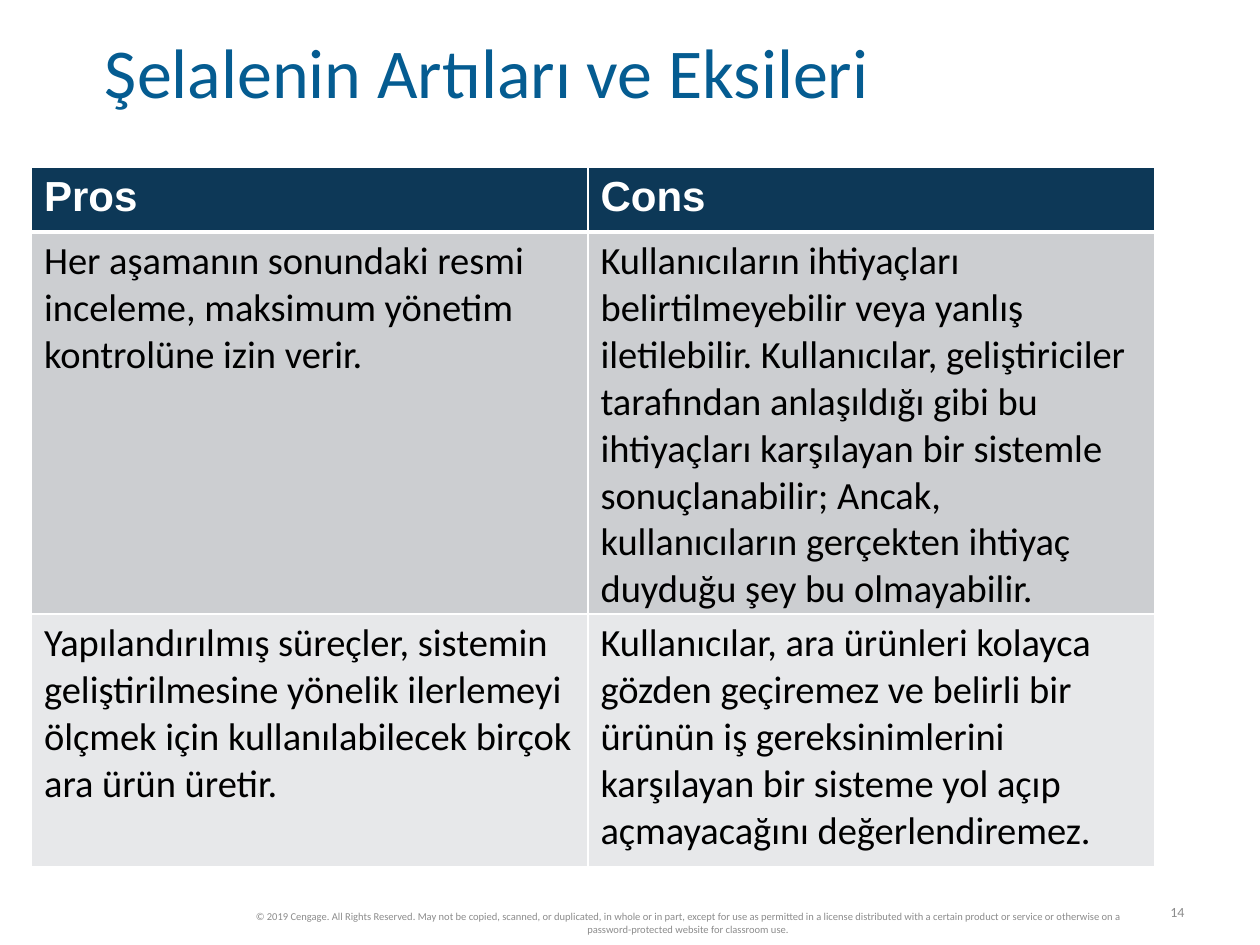
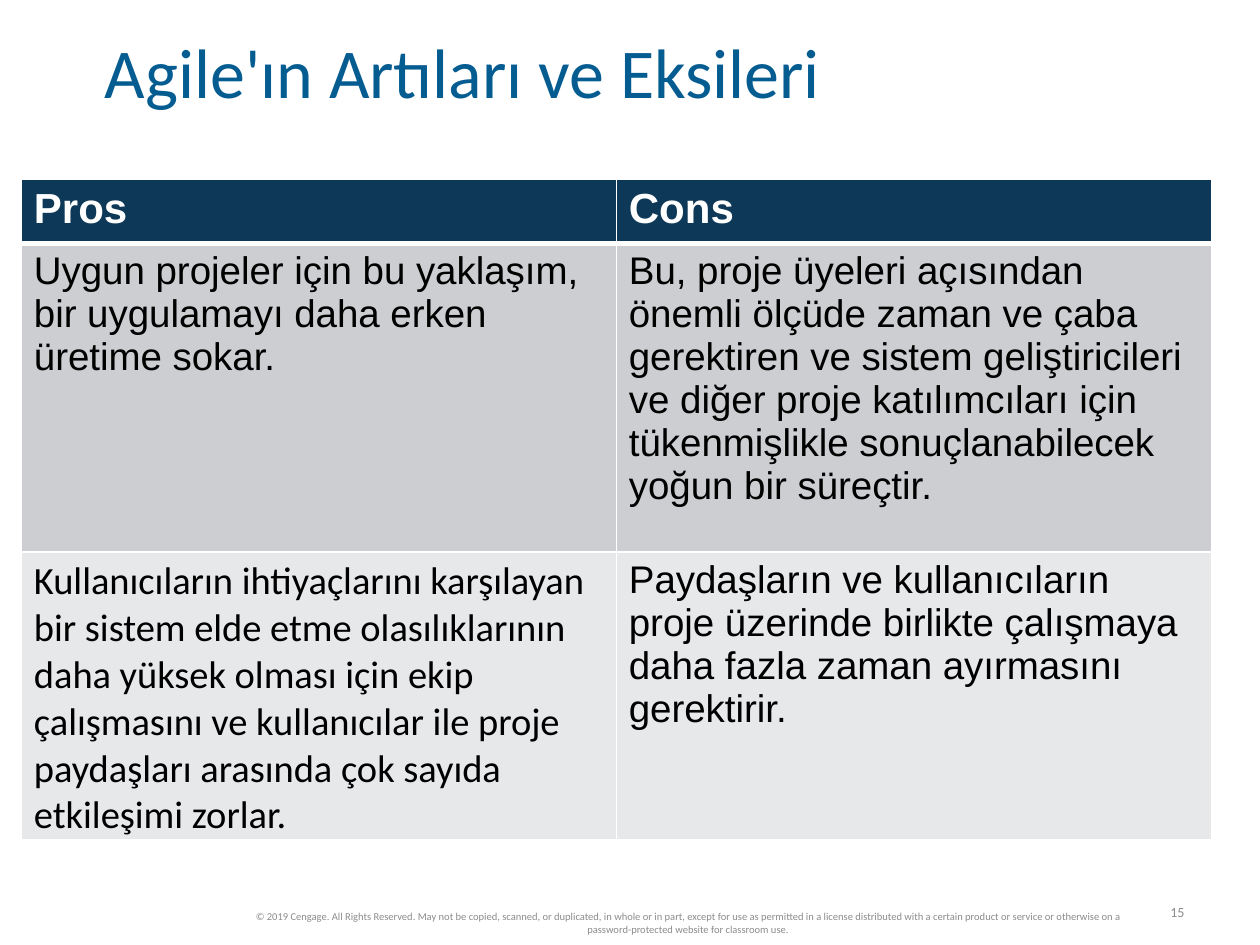
import pptx
import pptx.util
import pptx.dml.color
import pptx.enum.text
import pptx.oxml
import pptx.oxml.ns

Pt = pptx.util.Pt
ALIGN = pptx.enum.text.PP_ALIGN
HEX = {"title": "055C91", "head": "0D3857", "odd": "CCCED1", "even": "E7E8EA",
       "text": "000000", "white": "FFFFFF", "note": "8C8C8C"}
RIGHTS = ("© 2019 Cengage. All Rights Reserved. May not be copied, scanned, or duplicated, "
          "in whole or in part, except for use as permitted in a license distributed with a "
          "certain product or service or otherwise on a password-protected website for "
          "classroom use.")

# Each page: title, number, table corner, column widths, row heights,
# then the cells as (text, font)
pages = [
    ("Şelalenin Artıları ve Eksileri", 14, (18, 95.8), (318, 324), (36.8, 218.2, 144.7), [
        [("Pros", "Arial"), ("Cons", "Arial")],
        [("Her aşamanın sonundaki resmi inceleme, maksimum yönetim kontrolüne izin verir.",
          "Calibri"),
         ("Kullanıcıların ihtiyaçları belirtilmeyebilir veya yanlış iletilebilir. "
          "Kullanıcılar, geliştiriciler tarafından anlaşıldığı gibi bu ihtiyaçları karşılayan "
          "bir sistemle sonuçlanabilir; Ancak, kullanıcıların gerçekten ihtiyaç duyduğu şey "
          "bu olmayabilir.", "Calibri")],
        [("Yapılandırılmış süreçler, sistemin geliştirilmesine yönelik ilerlemeyi ölçmek için "
          "kullanılabilecek birçok ara ürün üretir.", "Calibri"),
         ("Kullanıcılar, ara ürünleri kolayca gözden geçiremez ve belirli bir ürünün iş "
          "gereksinimlerini karşılayan bir sisteme yol açıp açmayacağını değerlendiremez.",
          "Calibri")]]),
    ("Agile'ın Artıları ve Eksileri", 15, (12.2, 102.2), (340, 340), (36.8, 176.4, 164.6), [
        [("Pros", "Arial"), ("Cons", "Arial")],
        [("Uygun projeler için bu yaklaşım, bir uygulamayı daha erken üretime sokar.", "Arial"),
         ("Bu, proje üyeleri açısından önemli ölçüde zaman ve çaba gerektiren ve sistem "
          "geliştiricileri ve diğer proje katılımcıları için tükenmişlikle sonuçlanabilecek "
          "yoğun bir süreçtir.", "Arial")],
        [("Kullanıcıların ihtiyaçlarını karşılayan bir sistem elde etme olasılıklarının daha "
          "yüksek olması için ekip çalışmasını ve kullanıcılar ile proje paydaşları arasında "
          "çok sayıda etkileşimi zorlar.", "Calibri"),
         ("Paydaşların ve kullanıcıların proje üzerinde birlikte çalışmaya daha fazla zaman "
          "ayırmasını gerektirir.", "Arial")]]),
]


def style(frame, text, face, size, tone, bold=False):
    frame.text = text
    font = frame.paragraphs[0].runs[0].font
    font.name, font.size, font.bold = face, Pt(size), bold
    font.color.rgb = pptx.dml.color.RGBColor.from_string(HEX[tone])
    return frame.paragraphs[0]


def label(slide, box, text, size, tone, align):
    frame = slide.shapes.add_textbox(*map(Pt, box)).text_frame
    frame.word_wrap = True
    frame.vertical_anchor = pptx.enum.text.MSO_ANCHOR.MIDDLE
    style(frame, text, "Calibri", size, tone).alignment = align
    return frame


deck = pptx.Presentation()
deck.slide_width, deck.slide_height = Pt(720), Pt(540)

for title, page, (left, top), cols, rows, cells in pages:
    slide = deck.slides.add_slide(deck.slide_layouts[6])

    # Page number
    label(slide, (659.5, 512.6, 24.5, 17.3), str(page), 8, "note", ALIGN.RIGHT)

    # Table of pros and cons
    grid = slide.shapes.add_table(len(rows), len(cols), Pt(left), Pt(top),
                                  Pt(sum(cols)), Pt(sum(rows))).table
    grid.horz_banding = False
    for col, width in zip(grid.columns, cols):
        col.width = Pt(width)
    for r, (row, high) in enumerate(zip(grid.rows, rows)):
        row.height = Pt(high)
        for c, cell in enumerate(row.cells):
            text, face = cells[r][c]
            if r == 0:
                style(cell.text_frame, text, face, 24, "white", True)
            else:
                style(cell.text_frame, text, face, 22, "text")
                cell.margin_bottom = 0
            cell.fill.solid()
            cell.fill.fore_color.rgb = pptx.dml.color.RGBColor.from_string(
                HEX[("head", "odd", "even")[r]])
            # White rules, thicker under the header row
            for i, side in enumerate("LRTB"):
                thick = 3 if (r, side) in ((0, "B"), (1, "T")) else 1
                line = pptx.oxml.parse_xml(
                    f'<a:ln{side} {pptx.oxml.ns.nsdecls("a")} w="{Pt(thick)}"><a:solidFill>'
                    f'<a:srgbClr val="{HEX["white"]}"/></a:solidFill></a:ln{side}>')
                cell._tc.get_or_add_tcPr().insert(i, line)

    # Title
    frame = label(slide, (60, 23, 632, 42), title, 40, "title", ALIGN.LEFT)
    frame.margin_left = frame.margin_right = frame.margin_top = frame.margin_bottom = 0
    frame.paragraphs[0].line_spacing = 0.85

    # Copyright line
    label(slide, (126, 517.7, 534.2, 19.4), RIGHTS, 6, "note", ALIGN.CENTER)

deck.save("out.pptx")
